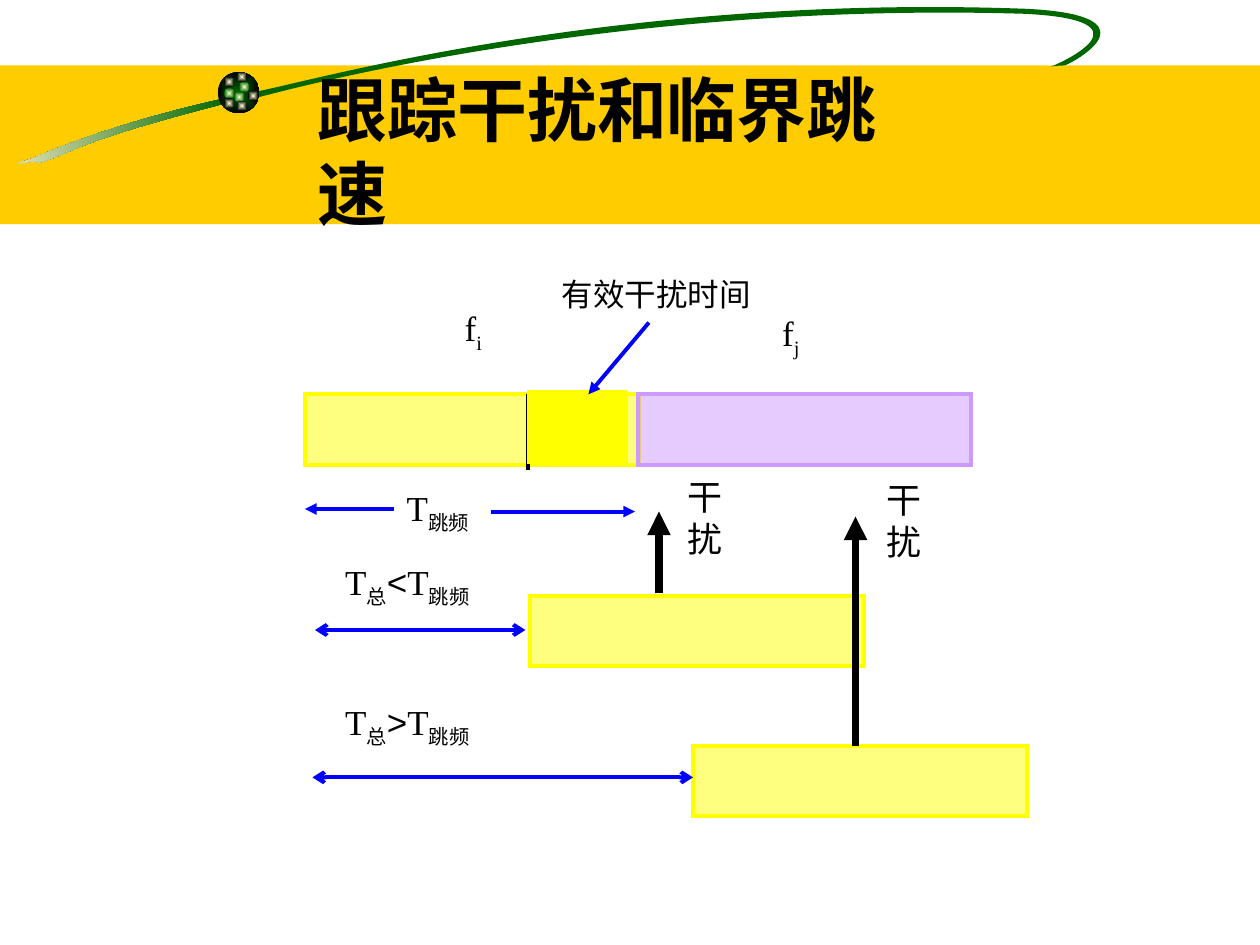
from math import cos, radians, sin

from lxml.etree import SubElement
from pptx import Presentation
from pptx.dml.color import RGBColor
from pptx.enum.shapes import MSO_CONNECTOR, MSO_SHAPE
from pptx.enum.text import MSO_ANCHOR, MSO_AUTO_SIZE
from pptx.oxml.ns import qn
from pptx.util import Inches, Pt

BLACK = RGBColor(0x00, 0x00, 0x00)
BLUE = RGBColor(0x00, 0x00, 0xFF)
CREAM = RGBColor(0xF5, 0xEB, 0xC1)
GOLD = RGBColor(0xFF, 0xCC, 0x00)
GREEN = RGBColor(0x00, 0x66, 0x00)
IVORY = RGBColor(0xFF, 0xFF, 0xCC)
LILAC = RGBColor(0xCC, 0x99, 0xFF)
YELLOW = RGBColor(0xFF, 0xFF, 0x00)

LATIN_FONT = "Times New Roman"
SYMBOL_FONT = "Arial"
CHINESE_FONT = "Noto Sans CJK SC"

RIBBON_TILT = 8.5
TAIL_CENTER = (0.89, 1.06)
TAIL_POINTS = [
    (1.78, 0.78),
    (0.91, 0.98), (0.49, 1.16), (0.25, 1.26),
    (0.01, 1.34), (0.26, 1.26), (0.31, 1.29),
    (0.57, 1.22), (0.57, 1.13), (1.79, 0.82),
    (1.79, 0.82), (1.78, 0.78), (1.78, 0.78),
]
LOOP_CENTER = (5.59, 0.4)
LOOP_POINTS = [
    (2.02, 0.73),
    (2.46, 0.65), (4.86, -0.05), (8.14, 0.07),
    (9.17, 0.12), (8.57, 0.47), (8.45, 0.52),
    (8.45, 0.52), (8.38, 0.52), (8.34, 0.53),
    (8.44, 0.49), (9.16, 0.16), (8.13, 0.11),
    (5.48, 0.03), (3.20, 0.47), (2.06, 0.77),
    (2.06, 0.77), (2.02, 0.73), (2.02, 0.73),
]
BEADS = [
    (0.17, 0.08, GREEN), (0.05, 0.04, BLACK), (0.05, 0.13, GREEN),
    (0.13, 0.16, GREEN), (0.24, 0.15, BLACK), (0.15, 0.23, BLACK),
    (0.05, 0.21, BLACK), (0.15, 0, BLACK),
]


def add_block(page, kind, left, top, width, height, color, opacity=100, outline=0):
    block = page.shapes.add_shape(
        kind, Inches(left), Inches(top), Inches(width), Inches(height))
    block.shadow.inherit = False
    block.fill.solid()
    block.fill.fore_color.rgb = color
    if opacity < 100:
        fill_color = block._element.spPr.find(qn("a:solidFill"))[0]
        SubElement(fill_color, qn("a:alpha"), val=str(opacity * 1000))
    if outline:
        block.line.color.rgb = color
        block.line.width = Pt(outline)
        stroke = block._element.spPr.find(qn("a:ln"))
        SubElement(stroke, qn("a:miter"), lim="800000")
    else:
        block.line.fill.background()
    return block


def set_gradient(shape, first, last, angle=0):
    shape.fill.gradient()
    shape.fill.gradient_angle = angle
    for stop, color in zip(shape.fill.gradient_stops, (first, last)):
        stop.color.rgb = color


def add_ball(page, left, top, size, center, edge):
    ball = add_block(page, MSO_SHAPE.OVAL, left, top, size, size, edge)
    set_gradient(ball, center, edge)
    gradient = ball._element.spPr.find(qn("a:gradFill"))
    gradient.remove(gradient.find(qn("a:lin")))
    spread = SubElement(gradient, qn("a:path"), path="rect")
    sides = dict.fromkeys("ltrb", "50000")
    SubElement(spread, qn("a:fillToRect"), **sides)


def level_point(point, center):
    angle = radians(RIBBON_TILT)
    x, y = point[0] - center[0], point[1] - center[1]
    return (center[0] + x * cos(angle) - y * sin(angle),
            center[1] + x * sin(angle) + y * cos(angle))


def bend_segments(shape):
    segments = list(shape._element.spPr.iter(qn("a:lnTo")))
    for first, second, end in zip(*[iter(segments)] * 3):
        outline = first.getparent()
        curve = SubElement(outline, qn("a:cubicBezTo"))
        outline.replace(first, curve)
        for segment in (first, second, end):
            curve.append(segment[0])
        outline.remove(second)
        outline.remove(end)


def add_ribbon(page, left, top, center, points):
    level = [level_point(point, center) for point in points]
    corners = [(Inches(left + x), Inches(top + y)) for x, y in level]
    builder = page.shapes.build_freeform(*corners[0])
    builder.add_line_segments(corners[1:], close=True)
    ribbon = builder.convert_to_shape()
    bend_segments(ribbon)
    ribbon.rotation = 360 - RIBBON_TILT
    ribbon.shadow.inherit = False
    ribbon.fill.solid()
    ribbon.fill.fore_color.rgb = GREEN
    ribbon.line.fill.background()
    return ribbon


def add_line(page, start, end, color, width, head=None, tail=None):
    line = page.shapes.add_connector(
        MSO_CONNECTOR.STRAIGHT, *(Inches(value) for value in start + end))
    line.line.color.rgb = color
    line.line.width = Pt(width)
    properties = line._element.spPr
    stroke = properties.find(qn("a:ln"))
    for tag, kind in (("a:headEnd", head), ("a:tailEnd", tail)):
        if kind:
            SubElement(stroke, qn(tag), type=kind)
    SubElement(properties, qn("a:effectLst"))


def add_label(page, left, top, width, height, parts, size=20, font=LATIN_FONT,
              bold=False, anchor=MSO_ANCHOR.BOTTOM):
    box = page.shapes.add_textbox(
        Inches(left), Inches(top), Inches(width), Inches(height))
    frame = box.text_frame
    frame.word_wrap = False
    frame.auto_size = MSO_AUTO_SIZE.SHAPE_TO_FIT_TEXT
    frame.vertical_anchor = anchor
    para = frame.paragraphs[0]
    para.font.size = Pt(size)
    para.font.name = font
    para.font.bold = bold
    para.font.color.rgb = BLACK
    SubElement(para.font._element, qn("a:ea"), typeface=CHINESE_FONT)
    for text, style in parts:
        span = para.add_run()
        span.text = text
        if style == "sub":
            span.font._element.set("baseline", "-25000")
        elif style == "symbol":
            span.font.name = SYMBOL_FONT


def add_header(page, left, top, width, height):
    add_block(page, MSO_SHAPE.RECTANGLE, left, top + 0.52, width, height, GOLD)
    tail = add_ribbon(page, left, top, TAIL_CENTER, TAIL_POINTS)
    set_gradient(tail, GREEN, CREAM, 180)
    add_ribbon(page, left, top, LOOP_CENTER, LOOP_POINTS)
    ball_left, ball_top = left + 1.73, top + 0.57
    add_ball(page, ball_left, ball_top, 0.33, GREEN, BLACK)
    for x, y, edge in BEADS:
        add_ball(page, ball_left + x, ball_top + y, 0.08, IVORY, edge)
    add_label(page, left + 2.42, top + 0.48, 5.19, 0.77, [("跟踪干扰和临界跳速", None)],
              40, CHINESE_FONT, True, MSO_ANCHOR.TOP)


def add_diagram(page, left, top):
    def slot(x, y, color):
        add_block(page, MSO_SHAPE.RECTANGLE, left + x, top + y, 2.65, 0.56, color, 50, 2.25)

    def line(x1, y1, x2, y2, *style, **ends):
        add_line(page, (left + x1, top + y1), (left + x2, top + y2), *style, **ends)

    def label(x, y, width, height, *parts, size=20):
        add_label(page, left + x, top + y, width, height, parts, size)

    slot(0, 1, YELLOW)
    slot(2.64, 1, LILAC)
    slot(1.79, 2.6, YELLOW)
    line(1.77, 1, 1.77, 1.6, BLACK, 2.25)
    slot(3.08, 3.79, YELLOW)
    add_block(page, MSO_SHAPE.RECTANGLE, left + 1.77, top + 0.97, 0.79, 0.58,
              YELLOW, outline=0.75)

    for x, bottom, tip in ((2.81, 2.58, 1.93), (4.37, 3.79, 1.97)):
        line(x, bottom, x, tip, BLACK, 4.5, tail="triangle")
    for start, end, y in ((0.08, 1.75, 2.87), (0.06, 3.08, 4.04)):
        line(start, y, end, y, BLUE, 2.25, head="arrow", tail="arrow")
    for ends in ((2.73, 0.43, 2.25, 1), (0.71, 1.91, 0, 1.91), (1.48, 1.93, 2.62, 1.93)):
        line(*ends, BLUE, 2.25, tail="triangle")

    for x, y, index in ((1.17, 0.25, "i"), (3.69, 0.29, "j")):
        label(x, y, 0.34, 0.48, ("f", None), (index, "sub"))
    hop = (("T", None), ("跳频", "sub"))
    for y, sign in ((2.27, "<"), (3.38, ">")):
        label(0.22, y, 1.39, 0.48, ("T", None), ("总", "sub"), (sign, "symbol"), *hop)
    label(0.71, 1.68, 0.76, 0.48, *hop)
    for x, y in ((2.94, 1.92), (4.52, 1.94)):
        label(x, y, 0.75, 0.44, ("干扰", None))
    label(1.94, 0, 1.7, 0.4, ("有效干扰时间", None), size=18)


def main():
    deck = Presentation()
    deck.slide_width, deck.slide_height = Inches(10), Inches(7.5)
    page = deck.slides.add_slide(deck.slide_layouts[6])
    add_header(page, 0, 0, 10, 1.26)
    add_diagram(page, 2.42, 2.13)
    deck.save("out.pptx")


if __name__ == "__main__":
    main()
